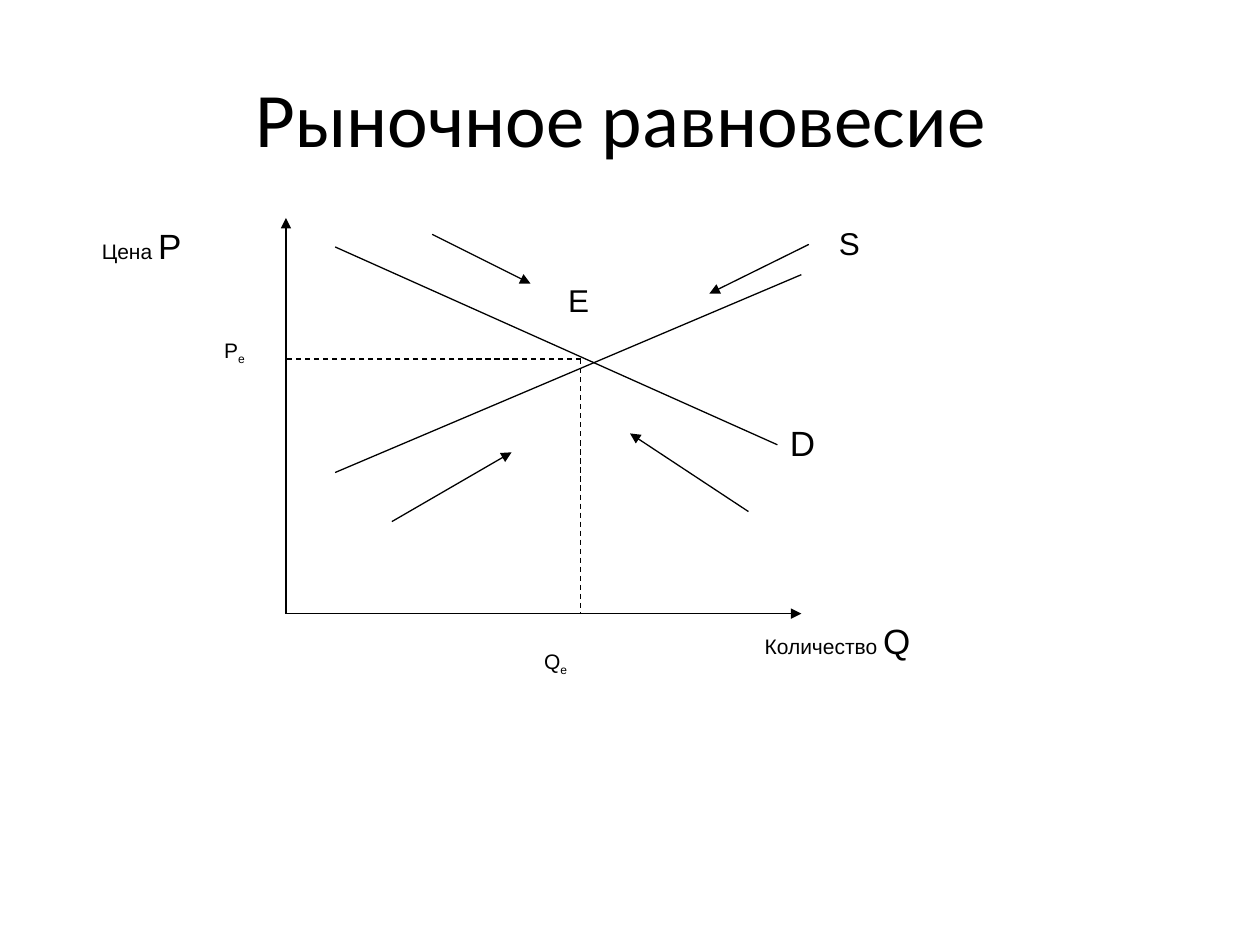
from lxml import etree
from pptx import Presentation
from pptx.dml.color import RGBColor
from pptx.enum.dml import MSO_LINE
from pptx.enum.shapes import MSO_CONNECTOR
from pptx.enum.text import MSO_ANCHOR, PP_ALIGN
from pptx.oxml.ns import qn
from pptx.util import Inches, Pt

BLACK = RGBColor(0x00, 0x00, 0x00)
STRAIGHT = MSO_CONNECTOR.STRAIGHT
DASH = MSO_LINE.DASH
MIDDLE = MSO_ANCHOR.MIDDLE
CENTER = PP_ALIGN.CENTER

COLUMNS, ROWS = 10, 7.5
TITLE_ONLY = 5
LABEL_HEIGHT = 0.67
SUBSCRIPT = "-25000"

# Chart geometry in grid columns and rows
AXIS_X, AXIS_Y = 2.27, 4.87
ORIGIN = (AXIS_X, AXIS_Y)
PRICE_END = (AXIS_X, 1.73)
QUANTITY_END = (6.36, AXIS_Y)
EQUILIBRIUM = (4.61, 2.85)
DEMAND = ((2.66, 1.96), (6.17, 3.53))
SUPPLY = ((6.36, 2.18), (2.66, 3.75))

# Left, top, width, then runs of (text, size, is subscript)
LABELS = [
    (4.41, 2.18, 0.78, [("E", 18, False)]),
    (6.56, 1.73, 0.78, [("S", 18, False)]),
    (6.17, 3.30, 0.78, [("D", 20, False)]),
    (4.22, 5.10, 1.17, [("Q", 12, False), ("e", 12, True)]),
    (5.97, 4.87, 2.92, [("Количество ", 12, False), ("Q", 20, False)]),
    (1.68, 2.63, 0.97, [("P", 12, False), ("e", 12, True)]),
    (0.71, 1.73, 1.75, [("Цена ", 12, False), ("P", 20, False)]),
]

PRESSURE_ARROWS = [
    ((6.42, 1.94), (5.63, 2.33)),
    ((3.43, 1.86), (4.21, 2.25)),
    ((3.11, 4.14), (4.06, 3.59)),
    ((5.94, 4.06), (5.00, 3.44)),
]


def apply_format(target, values):
    for name, value in values.items():
        setattr(target, name, value)


class SlideBuilder:
    """Holds the style, the slide and its grid."""

    title_font = {"name": "Calibri", "size": Pt(44)}
    label_font = "Arial"
    line_width = Pt(0.75)

    def __init__(self, presentation):
        self.column = presentation.slide_width / COLUMNS
        self.row = presentation.slide_height / ROWS
        layout = presentation.slide_layouts[TITLE_ONLY]
        self.slide = presentation.slides.add_slide(layout)

    def place(self, x, y):
        return round(x * self.column), round(y * self.row)

    def title(self, text, left, top, width, height):
        shape = self.slide.shapes.title
        shape.left, shape.top = self.place(left, top)
        shape.width, shape.height = self.place(width, height)
        shape.text_frame.vertical_anchor = MIDDLE
        paragraph = shape.text_frame.paragraphs[0]
        paragraph.alignment = CENTER
        run = paragraph.add_run()
        run.text = text
        apply_format(run.font, self.title_font)
        run.font.color.rgb = BLACK

    def line(self, shapes, start, end, arrow=False, dash=None):
        connector = shapes.add_connector(
            STRAIGHT, *self.place(*start), *self.place(*end))
        connector.line.color.rgb = BLACK
        apply_format(connector.line,
                     {"width": self.line_width, "dash_style": dash})
        properties = connector._element.spPr
        if arrow:
            outline = properties.find(qn("a:ln"))
            etree.SubElement(outline, qn("a:tailEnd"), type="triangle")
        etree.SubElement(properties, qn("a:effectLst"))

    def label(self, shapes, left, top, width, runs):
        shape = shapes.add_textbox(*self.place(left, top),
                                   *self.place(width, LABEL_HEIGHT))
        shape.text_frame.word_wrap = True
        paragraph = shape.text_frame.paragraphs[0]
        for text, size, is_subscript in runs:
            run = paragraph.add_run()
            run.text = text
            apply_format(run.font, {"name": self.label_font, "size": Pt(size)})
            run.font.color.rgb = BLACK
            if is_subscript:
                run._r.get_or_add_rPr().set("baseline", SUBSCRIPT)

    def equilibrium_diagram(self):
        shapes = self.slide.shapes.add_group_shape().shapes
        for axis_end in (PRICE_END, QUANTITY_END):
            self.line(shapes, ORIGIN, axis_end, arrow=True)
        for curve in (DEMAND, SUPPLY):
            self.line(shapes, *curve)
        for foot in ((AXIS_X, EQUILIBRIUM[1]), (EQUILIBRIUM[0], AXIS_Y)):
            self.line(shapes, EQUILIBRIUM, foot, dash=DASH)
        for label in LABELS:
            self.label(shapes, *label)


def main():
    presentation = Presentation()
    presentation.slide_width = Inches(COLUMNS)
    presentation.slide_height = Inches(ROWS)
    builder = SlideBuilder(presentation)
    builder.equilibrium_diagram()
    builder.title("Рыночное равновесие ", 0.5, 0.3, 9, 1.25)
    for start, end in PRESSURE_ARROWS:
        builder.line(builder.slide.shapes, start, end, arrow=True)
    presentation.save("out.pptx")


if __name__ == "__main__":
    main()
